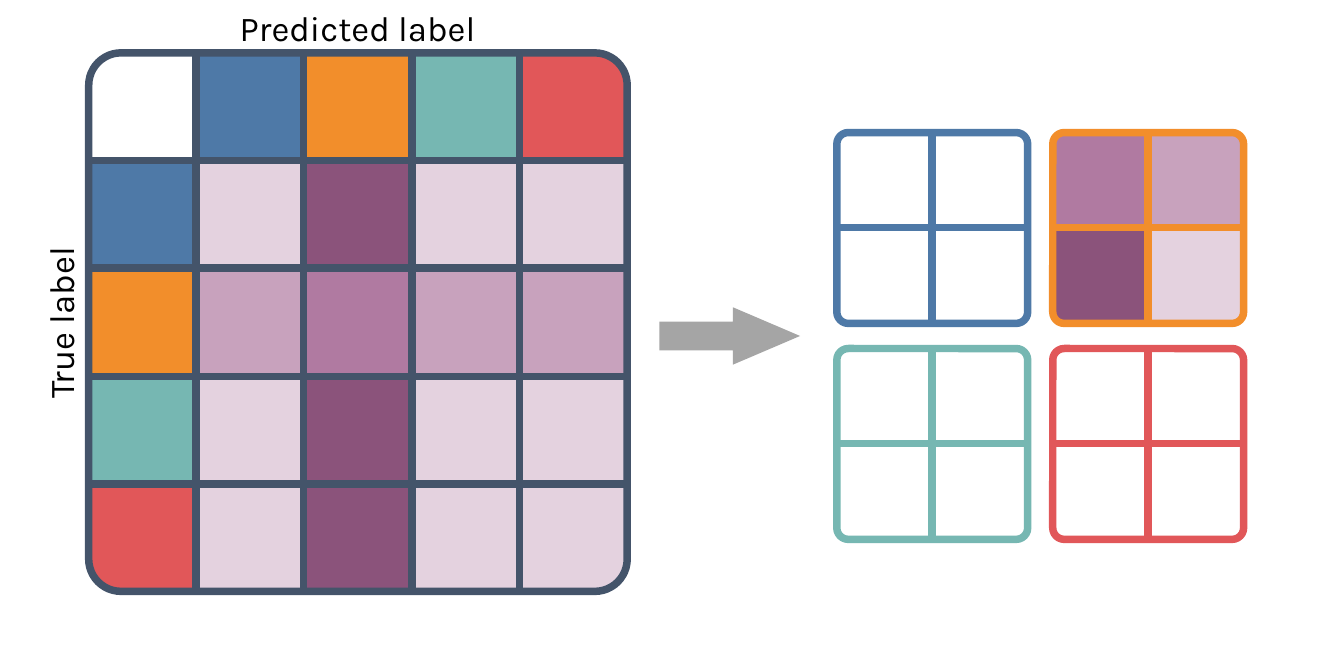
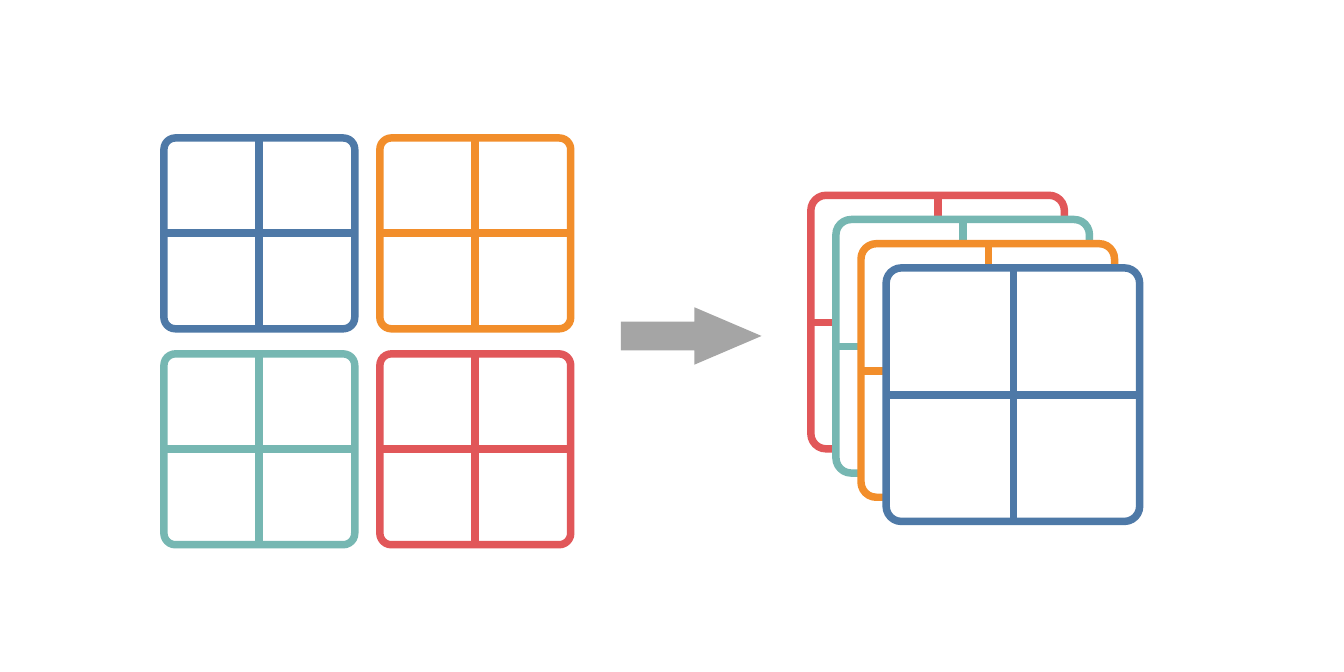
from dataclasses import dataclass

from lxml import etree
from pptx import Presentation
from pptx.dml.color import RGBColor
from pptx.enum.shapes import MSO_CONNECTOR, MSO_SHAPE
from pptx.enum.text import PP_ALIGN
from pptx.oxml.ns import qn
from pptx.util import Pt

RECTANGLE = MSO_SHAPE.RECTANGLE
ROUNDED = MSO_SHAPE.ROUNDED_RECTANGLE
ONE_ROUNDED = MSO_SHAPE.ROUND_1_RECTANGLE
ARROW = MSO_SHAPE.RIGHT_ARROW
STRAIGHT = MSO_CONNECTOR.STRAIGHT
CENTER = PP_ALIGN.CENTER

PX = 9144  # EMU, 100 px to the inch


@dataclass(frozen=True)
class Theme:
    blue: str = "4E79A7"
    orange: str = "F28E2B"
    teal: str = "76B7B2"
    red: str = "E15759"
    slate: str = "44546A"
    gray: str = "A5A5A5"
    white: str = "FFFFFF"
    black: str = "000000"
    true_positive: str = "B07AA1"
    false_negative: str = "C8A2BD"
    false_positive: str = "8B537B"
    true_negative: str = "E4D2DF"
    font: str = "Karla"
    label_size: int = 28
    line_width: int = 6
    corner: float = 0.06


theme = Theme()
classes = [theme.blue, theme.orange, theme.teal, theme.red]


def add_box(slide, kind, left, top, width, height, fill=None, line=None,
            adjustments=(), rotation=0):
    shape = slide.shapes.add_shape(kind, left * PX, top * PX, width * PX, height * PX)
    shape.shadow.inherit = False
    shape.rotation = rotation
    for index, value in enumerate(adjustments):
        shape.adjustments[index] = value
    if fill:
        shape.fill.solid()
        shape.fill.fore_color.rgb = RGBColor.from_string(fill)
    else:
        shape.fill.background()
    if line:
        shape.line.color.rgb = RGBColor.from_string(line)
        shape.line.width = Pt(theme.line_width)
    else:
        shape.line.fill.background()


def add_text(slide, text, left, top, width, height, *, size=theme.label_size,
             color=theme.black, align=CENTER, rotation=0):
    box = slide.shapes.add_textbox(left * PX, top * PX, width * PX, height * PX)
    box.rotation = rotation
    box.text_frame.word_wrap = True
    paragraph = box.text_frame.paragraphs[0]
    paragraph.alignment = align
    run = paragraph.add_run()
    run.text = text
    run.font.name = theme.font
    run.font.size = Pt(size)
    run.font.color.rgb = RGBColor.from_string(color)


presentation = Presentation()
presentation.slide_width = 1500 * PX
presentation.slide_height = 750 * PX
blank = presentation.slide_layouts[6]
matrix_slide = presentation.slides.add_slide(blank)
stack_slide = presentation.slides.add_slide(blank)

# Arrows
for slide, left in ((matrix_slide, 736), (stack_slide, 693)):
    add_box(slide, ARROW, left, 343, 157, 64, theme.gray, adjustments=(0.5, 1.17))

# Confusion matrix: class colours on the edges, one class picked out inside
picked = theme.orange
headers = [None] + classes
matrix_cells = []
for row, true_class in enumerate(headers):
    for column, predicted_class in enumerate(headers):
        if row == 0 or column == 0:
            color = predicted_class or true_class
        elif true_class == picked:
            color = theme.true_positive if predicted_class == picked else theme.false_negative
        else:
            color = theme.false_positive if predicted_class == picked else theme.true_negative
        matrix_cells.append((row, column, color))

# The picked class collapsed to a two-by-two table
picked_cells = [
    (0, 0, theme.true_positive), (0, 1, theme.false_negative),
    (1, 0, theme.false_positive), (1, 1, theme.true_negative),
]

# Grids: slide, left, top, size, parts, line colour, fill, cells
grids = [(matrix_slide, 99, 59, 601, 5, theme.slate, None, matrix_cells)]
panel_size, panel_pitch = 213, 241
for slide, left, top in ((matrix_slide, 934, 148), (stack_slide, 183, 154)):
    for index, color in enumerate(classes):
        row, column = divmod(index, 2)
        cells = picked_cells if slide is matrix_slide and color == picked else []
        grids.append((slide, left + column * panel_pitch, top + row * panel_pitch,
                      panel_size, 2, color, theme.white, cells))
for index, color in enumerate(reversed(classes)):
    grids.append((stack_slide, 905 + 28 * index, 218 + 27 * index,
                  283, 2, color, theme.white, []))

# Each grid: ground, cells, frame, dividers
inset = 3
corner_turns = {(0, 4): 0, (4, 4): 90, (4, 0): 180}
for slide, left, top, size, parts, color, fill, cells in grids:
    edges = [round(size * index / parts) for index in range(parts + 1)]
    if fill and cells:
        add_box(slide, ROUNDED, left, top, size, size, fill, adjustments=(theme.corner,))
    for row, column, cell_color in cells:
        if not cell_color:
            continue
        turn = corner_turns.get((row, column)) if parts == 5 else None
        add_box(slide, RECTANGLE if turn is None else ONE_ROUNDED,
                left + edges[column] + inset, top + edges[row] + inset,
                edges[column + 1] - edges[column] - 2 * inset,
                edges[row + 1] - edges[row] - 2 * inset, cell_color,
                adjustments=() if turn is None else (0.29,), rotation=turn or 0)
    add_box(slide, ROUNDED, left, top, size, size, None if cells else fill, color,
            adjustments=(theme.corner,))
    for edge in edges[1:-1]:
        for start_x, start_y, end_x, end_y in ((edge, 0, edge, size), (0, edge, size, edge)):
            divider = slide.shapes.add_connector(
                STRAIGHT, (left + start_x) * PX, (top + start_y) * PX,
                (left + end_x) * PX, (top + end_y) * PX)
            divider.line.color.rgb = RGBColor.from_string(color)
            divider.line.width = Pt(theme.line_width)
            etree.SubElement(divider._element.spPr, qn("a:effectLst"))

# Axis labels
add_text(matrix_slide, "Predicted label", 100, 3, 598, 57)
add_text(matrix_slide, "True label", -233, 332, 601, 57, rotation=270)

presentation.save("out.pptx")
